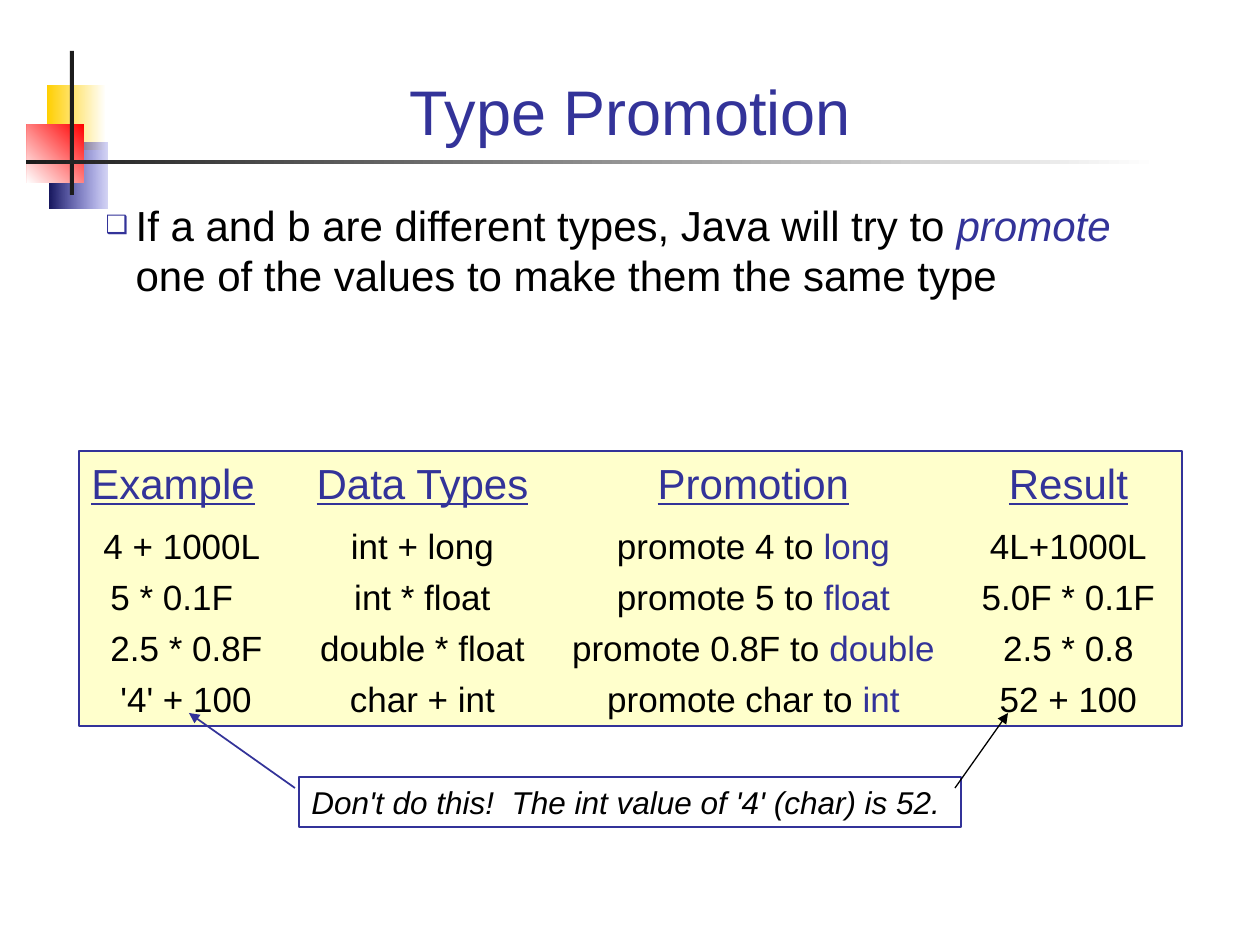
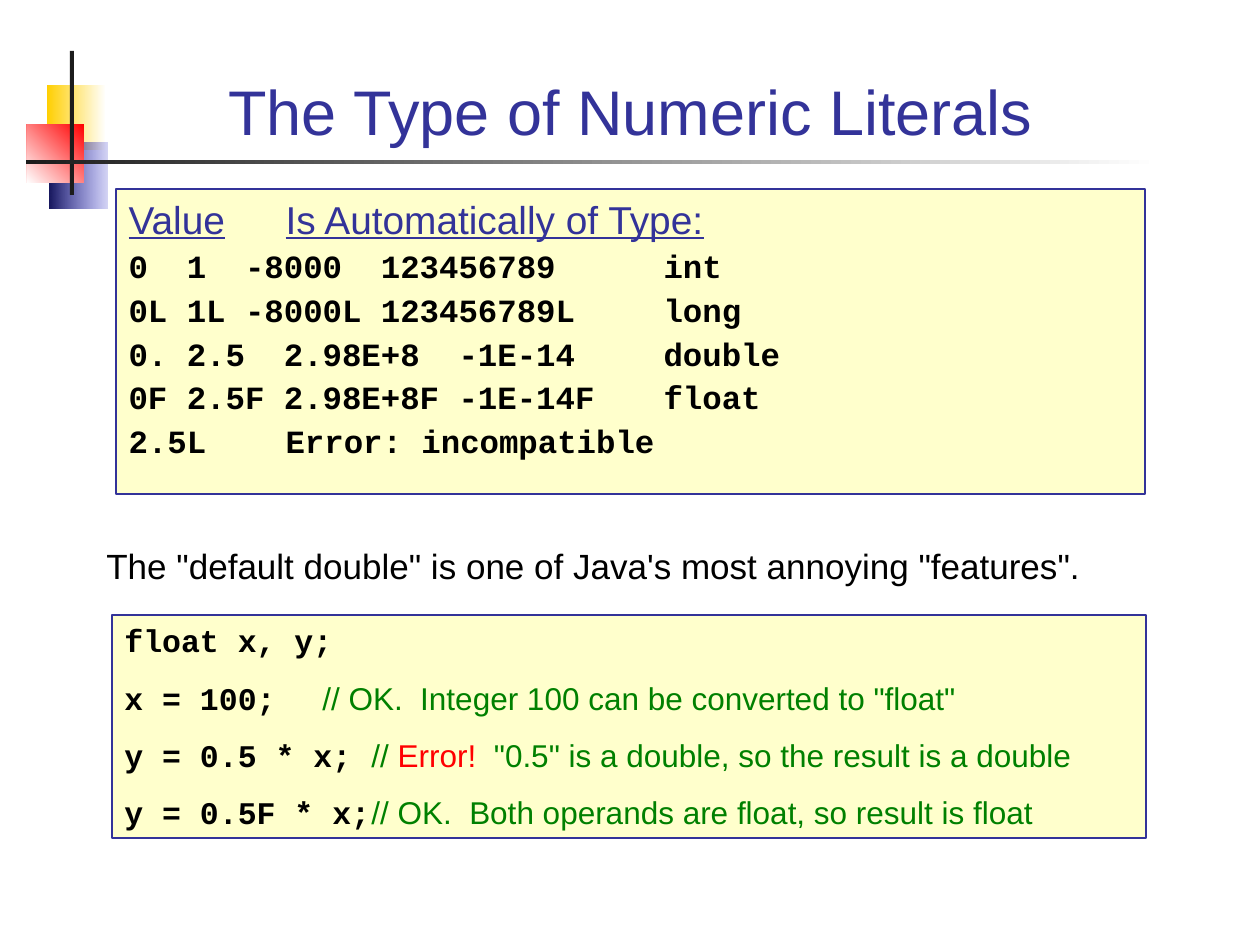
from dataclasses import dataclass, replace
from lxml.etree import SubElement as Sub
from pptx import Presentation
from pptx.dml.color import RGBColor as Rgb
from pptx.enum.shapes import MSO_CONNECTOR as Link, MSO_SHAPE as Kind
from pptx.enum.text import MSO_ANCHOR as Anchor, MSO_AUTO_SIZE as Fit, PP_ALIGN as Align
from pptx.oxml.ns import qn
from pptx.util import Inches, Pt


@dataclass(frozen=True)
class Theme:
    """Colours, type sizes and fonts of the deck."""
    blue: str = "333399"
    black: str = "000000"
    cream: str = "FFFFCC"
    green: str = "008000"
    red: str = "FF0000"
    white: str = "FFFFFF"
    gold: str = "FFCF01"
    sky: str = "3333CC"
    navy: str = "17175E"
    dark: str = "1C1C1C"
    title: float = 36
    lead: float = 24
    head: float = 22.2
    text: float = 20
    mono: float = 18.5
    code: float = 18
    sans: str = "Arial"
    fixed: str = "Courier New"


@dataclass(frozen=True)
class Ink:
    """Look of one run."""
    size: float
    color: str
    font: str = Theme.sans
    bold: bool = False
    slant: bool = False
    under: bool = False


T = Theme()


def px(n):
    """Turn pixels into EMU."""
    return Inches(n / 126)


def place(shape, box):
    """Move a shape to a box."""
    shape.left, shape.top, shape.width, shape.height = map(px, box)


def paint(shape, fill=None, edge=None, width=0.75):
    """Set plain fill and outline."""
    if fill:
        shape.fill.solid()
        shape.fill.fore_color.rgb = Rgb.from_string(fill)
    else:
        shape.fill.background()
    if edge:
        shape.line.color.rgb = Rgb.from_string(edge)
        shape.line.width = Pt(width)
    else:
        shape.line.fill.background()


def rect(slide, box, fill=None, edge=None, width=0.75):
    """Add a flat rectangle."""
    shape = slide.shapes.add_shape(Kind.RECTANGLE, *map(px, box))
    shape.shadow.inherit = False
    paint(shape, fill, edge, width)
    return shape


def fade(shape, first, last, angle=180):
    """Fill with a two-stop gradient."""
    shape.fill.gradient()
    shape.fill.gradient_angle = angle
    for stop, color in zip(shape.fill.gradient_stops, (first, last)):
        stop.color.rgb = Rgb.from_string(color)


def frame(shape, anchor=Anchor.TOP):
    """Prepare a wrapped text frame."""
    area = shape.text_frame
    area.word_wrap = True
    area.auto_size = Fit.NONE
    area.vertical_anchor = anchor
    return area


def para(area, runs, before=0, tabs=(), hang=None, step=None, bullet=None,
         align=Align.LEFT, lines=1.0):
    """Add a paragraph run by run."""
    first = area.paragraphs[0]
    p = area.add_paragraph() if first.runs else first
    p.alignment, p.line_spacing, p.space_before = align, lines, Pt(before)
    props = p._p.get_or_add_pPr()
    if hang:
        props.set("marL", str(px(hang)))
        props.set("indent", str(px(-hang)))
    if step:
        props.set("defTabSz", str(px(step)))
    if bullet:
        tint = Sub(props, qn("a:buClr"))
        Sub(tint, qn("a:srgbClr"), val=T.blue)
        Sub(props, qn("a:buSzPct"), val="60000")
        Sub(props, qn("a:buChar"), char=bullet)
    elif hang:
        Sub(props, qn("a:buNone"))
    if tabs:
        stops = Sub(props, qn("a:tabLst"))
        for pos, kind in tabs:
            Sub(stops, qn("a:tab"), pos=str(px(pos)), algn=kind)
    for text, ink in runs:
        run = p.add_run()
        run.text = text
        font = run.font
        font.size, font.name = Pt(ink.size), ink.font
        font.bold, font.italic, font.underline = ink.bold, ink.slant, ink.under
        font.color.rgb = Rgb.from_string(ink.color)


def decor(slide, layout):
    """Draw the corner squares and rules, then share them on the layout."""
    gold = rect(slide, (47, 85, 59, 65))
    fade(gold, T.white, T.gold)
    navy = rect(slide, (49, 143, 58, 66))
    fade(navy, T.sky, T.navy)
    tint = navy.element.find(".//" + qn("a:srgbClr"))
    Sub(tint, qn("a:alpha"), val="20000")
    red = rect(slide, (27, 124, 57, 59))
    fade(red, T.red, T.white, 225)
    post = rect(slide, (70, 51, 4, 144), T.dark)
    rule = rect(slide, (26, 160, 1133, 4))
    fade(rule, T.white, T.dark)
    for n, part in enumerate((gold, navy, red, post, rule)):
        part.element.find(".//" + qn("p:cNvPr")).set("id", str(20 + n))
        layout.shapes.element.insert(2 + n, part.element)


def head(slide, text, box=(85, 34, 1091, 120)):
    """Fill the title."""
    place(slide.shapes.title, box)
    area = frame(slide.shapes.title, Anchor.BOTTOM)
    para(area, [(text, Ink(T.title, T.blue))], align=Align.CENTER)


def lead(slide, box):
    """Fill the bullet list."""
    body = slide.placeholders[1]
    place(body, box)
    ink = Ink(T.lead, T.black)
    para(frame(body), [
        ("If a and b are different types, Java will try to ", ink),
        ("promote", replace(ink, color=T.blue, slant=True)),
        (" one of the values to make them the same type", ink),
    ], hang=30, bullet="❑")


def grid(slide, box):
    """Show the promotion examples in tabbed columns."""
    area = frame(rect(slide, box, T.cream, T.blue, 1))
    tabs = [(spot, "ctr") for spot in (331, 662, 977)]
    plain = Ink(T.lead, T.blue)
    under = replace(plain, under=True)
    runs = [("Example", under)]
    for name in ("Data Types", "Promotion", "Result"):
        runs += [("\t", plain), (name, under)]
    para(area, runs, tabs=tabs)
    ink = Ink(T.text, T.black)
    rows = [
        (12, 9.5, "4 + 1000L", "int + long", "4", "long", "4L+1000L"),
        (19, 5.5, "5 * 0.1F", "int * float", "5", "float", "5.0F * 0.1F"),
        (19, 5, "2.5 * 0.8F", "double * float", "0.8F", "double", "2.5 * 0.8"),
        (29, 5, "'4' + 100", "char + int", "char", "int", "52 + 100"),
    ]
    for inset, before, case, types, old, new, result in rows:
        para(area, [
            (f"\t{case}\t{types}\tpromote {old} to ", ink),
            (new, replace(ink, color=T.blue)),
            (f"\t{result}", ink),
        ], before, [(inset, "l")] + tabs)


def arrow(slide, start, end, color, width):
    """Draw an arrow."""
    line = slide.shapes.add_connector(Link.STRAIGHT, *map(px, start + end))
    line.line.color.rgb = Rgb.from_string(color)
    line.line.width = Pt(width)
    Sub(line.line._get_or_add_ln(), qn("a:tailEnd"), type="triangle")
    Sub(line.element.spPr, qn("a:effectLst"))


def warn(slide, box):
    """Add the callout with its two arrows."""
    x, y, w, h = box
    arrow(slide, (x - 4, y + 11), (x - 110, y - 64), T.blue, 1)
    area = frame(rect(slide, box, edge=T.blue, width=1))
    ink = Ink(T.code, T.black, slant=True)
    para(area, [("Don't do this!  The int value of '4' (char) is 52.", ink)])
    arrow(slide, (x + w - 6, y + 11), (x + w + 47, y - 64), T.black, 0.75)


def kinds(slide, box):
    """List literals and their types."""
    body = slide.placeholders[1]
    place(body, box)
    paint(body, T.cream, T.blue)
    area = frame(body)
    ink = Ink(T.head, T.blue)
    under = replace(ink, under=True)
    para(area, [("Value", under), ("\t", ink),
                ("Is Automatically of Type:", under)], hang=31, step=126)
    rows = [
        "0  1  -8000  123456789\tint",
        "0L 1L -8000L 123456789L\tlong",
        "0. 2.5  2.98E+8  -1E-14\tdouble",
        "0F 2.5F 2.98E+8F -1E-14F\tfloat",
        "2.5L\tError: incompatible",
    ]
    mono = Ink(T.mono, T.black, T.fixed, bold=True)
    for text in rows:
        para(area, [(text, mono)], 5, hang=31, step=126, lines=0.9)


def note(slide, box):
    """Add the remark."""
    area = frame(slide.shapes.add_textbox(*map(px, box)))
    para(area, [('The "default double" is one of Java\'s most annoying "features".',
                 Ink(T.text, T.black))])


def code(slide, box):
    """Show the code with its comments."""
    area = frame(rect(slide, box, T.cream, T.blue))
    mono = Ink(T.code, T.black, T.fixed, bold=True)
    say = Ink(T.code, T.green)
    rows = [
        [("float x, y;", mono)],
        [("x = 100;\t", mono),
         ('// OK.  Integer 100 can be converted to "float"', say)],
        [("y = 0.5 * x;\t", mono), ("// ", say),
         ("Error!", replace(say, color=T.red)),
         ('  "0.5" is a double, so the result is a double', say)],
        [("y = 0.5F * x;\t", mono),
         ("// OK.  Both operands are float, so result is float", say)],
    ]
    tabs = [(spot, "l") for spot in (198, 247)]
    for n, runs in enumerate(rows):
        para(area, runs, 11.2 if n else 0, tabs)


def main():
    """Build the deck."""
    deck = Presentation()
    deck.slide_width, deck.slide_height = px(1260), px(945)
    layout = deck.slide_layouts[1]
    one, two = [deck.slides.add_slide(layout) for _ in range(2)]
    decor(one, layout)
    head(one, "Type Promotion")
    lead(one, (93, 193, 1091, 280))
    grid(one, (79, 451, 1103, 275))
    warn(one, (299, 777, 662, 50))
    head(two, "The Type of Numeric Literals")
    kinds(two, (116, 189, 1029, 305))
    note(two, (94, 538, 1095, 55))
    code(two, (112, 615, 1034, 223))
    deck.save("out.pptx")


if __name__ == "__main__":
    main()
